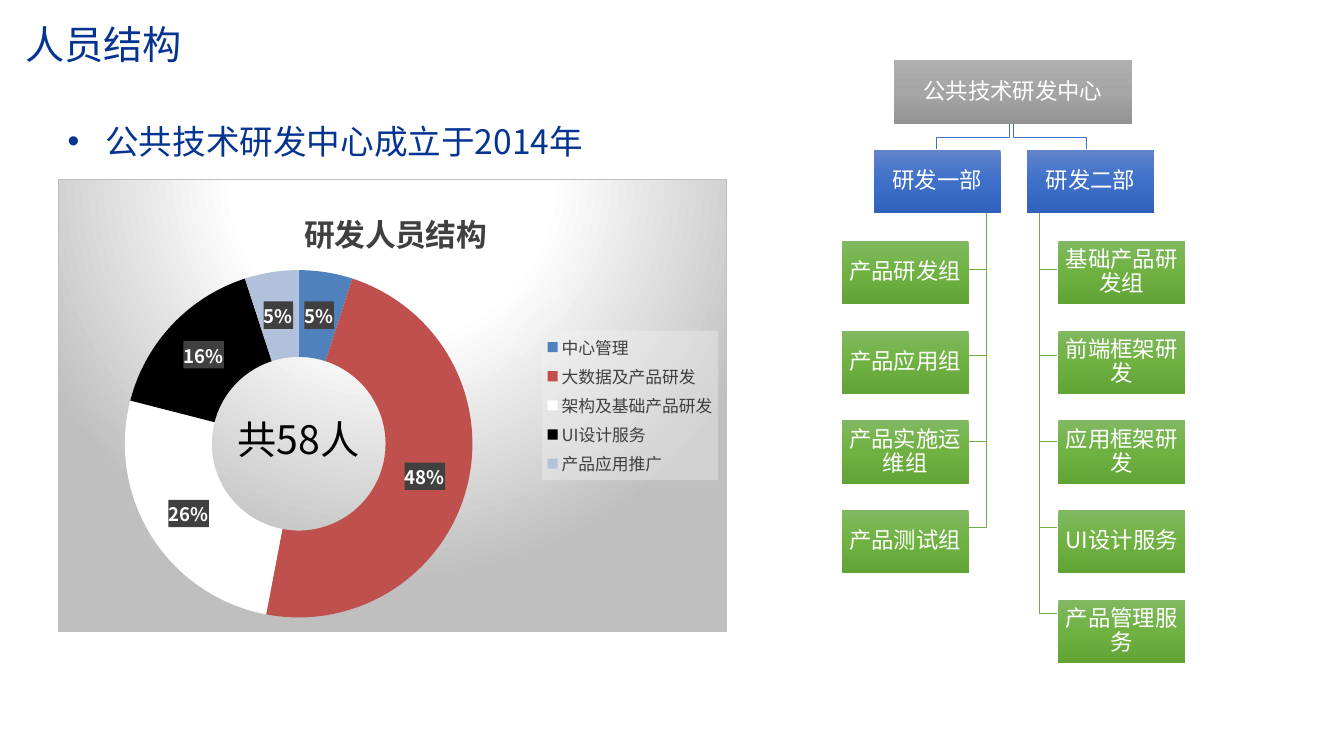
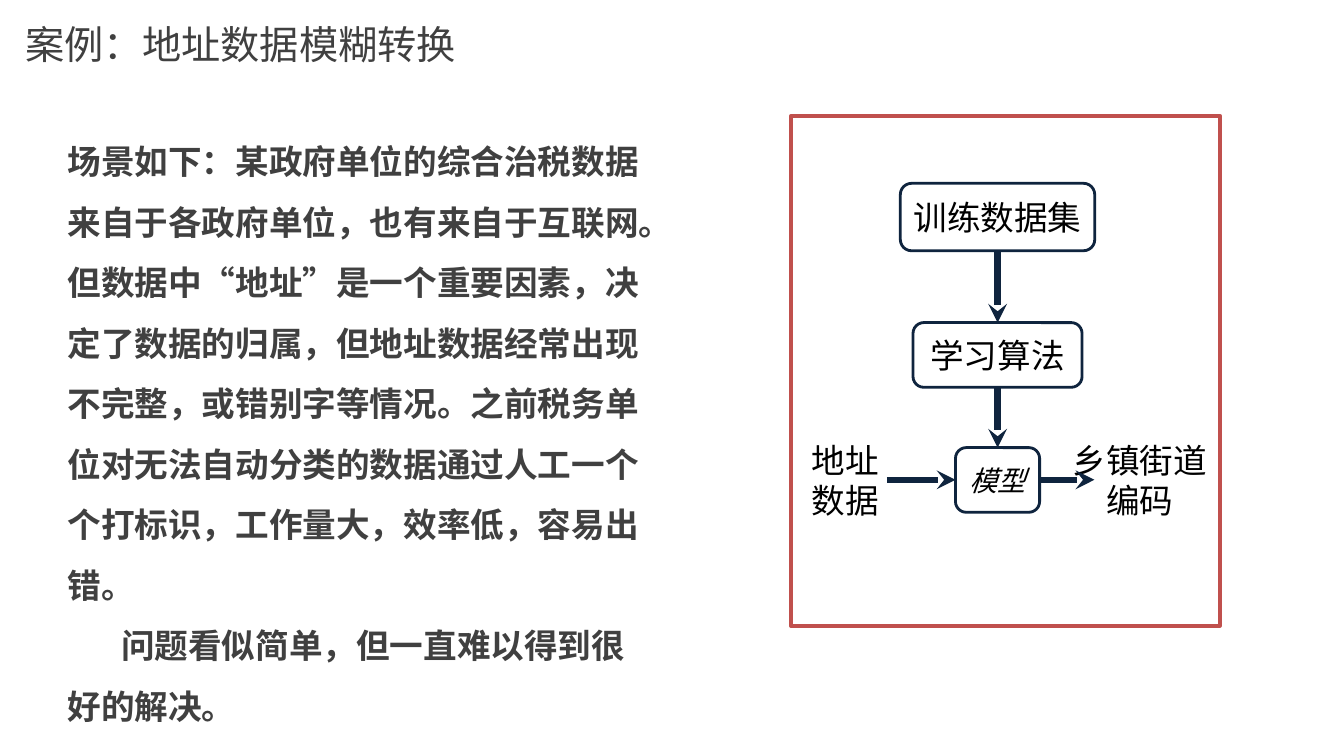
from dataclasses import dataclass

from lxml.etree import SubElement
from pptx import Presentation
from pptx.chart.data import CategoryChartData
from pptx.dml.color import RGBColor
from pptx.enum.chart import XL_CHART_TYPE as Chart, XL_LEGEND_POSITION as Legend
from pptx.enum.shapes import MSO_CONNECTOR as Conn, MSO_SHAPE as Shape
from pptx.enum.text import MSO_ANCHOR as Anchor, MSO_AUTO_SIZE as Fit, PP_ALIGN as Align
from pptx.oxml import parse_xml
from pptx.oxml.ns import nsdecls, qn
from pptx.util import Cm, Pt


@dataclass(frozen=True)
class Theme:
    face: str = "Noto Sans CJK SC"
    blue: str = "053391"
    gray: str = "404040"
    black: str = "000000"
    white: str = "FFFFFF"
    navy: str = "0F243E"
    red: str = "C0504D"
    border: str = "BFBFBF"
    panel: str = "F2F2F2"
    dept_line: str = "4472C4"
    team_line: str = "70AD47"
    root_fill: tuple = ((0, "AFAFAF"), (50, "A5A5A5"), (100, "939393"))
    dept_fill: tuple = ((0, "6183CB"), (50, "3E70CA"), (100, "3062BB"))
    team_fill: tuple = ((0, "81B861"), (50, "6FB242"), (100, "62A336"))
    chart_fill: tuple = ((0, "FFFFFF"), (39, "FFFFFF"), (100, "BFBFBF"))
    slices: tuple = ("4F81BD", "C0504D", "FFFFFF", "000000", "B2C1DB")
    title: float = 28
    body: float = 24
    chart_title: float = 22
    model: float = 20
    node: float = 16
    label: float = 13.3
    legend: float = 12


T = Theme()
DOWN = '<a:lin ang="5400000" scaled="0"/>'
SPOT = ('<a:path path="circle"><a:fillToRect l="50000" t="-80000" '
        'r="50000" b="180000"/></a:path>')


# Formatting helpers
def style(font, size=T.body, color=T.black, bold=False, italic=False):
    font.size, font.bold, font.italic = Pt(size), bold, italic
    font.color.rgb = RGBColor.from_string(color)
    font.name = T.face
    SubElement(font._rPr, qn("a:ea"), typeface=T.face)


def write(tf, text, align=Align.LEFT, anchor=Anchor.TOP, margin=None,
          spacing=None, **fmt):
    """Fill a text frame, one paragraph per line of text."""
    tf.word_wrap, tf.auto_size, tf.vertical_anchor = True, Fit.NONE, anchor
    if margin is not None:
        tf.margin_left = tf.margin_right = Cm(margin)
        tf.margin_top = tf.margin_bottom = Cm(margin)
    for i, line in enumerate(text.split("\n")):
        p = tf.add_paragraph() if i else tf.paragraphs[0]
        p.alignment, p.line_spacing = align, spacing
        p.space_before = Pt(0)
        r = p.add_run()
        r.text = line
        style(r.font, **fmt)
    return tf.paragraphs


def indent(p, left=0, first=0, bullet=None):
    pPr = p._p.get_or_add_pPr()
    pPr.set("marL", str(Cm(left)))
    pPr.set("indent", str(Cm(first)))
    if bullet:
        SubElement(pPr, qn("a:buChar"), char=bullet)
    else:
        SubElement(pPr, qn("a:buNone"))


def gradient(stops, direction):
    gs = "".join(f'<a:gs pos="{pos * 1000}"><a:srgbClr val="{c}"/></a:gs>'
                 for pos, c in stops)
    return (f'<a:gradFill {nsdecls("a")} rotWithShape="1">'
            f'<a:gsLst>{gs}</a:gsLst>{direction}</a:gradFill>')


def solid(color, alpha=100):
    return (f'<a:solidFill><a:srgbClr val="{color}">'
            f'<a:alpha val="{alpha * 1000}"/></a:srgbClr></a:solidFill>')


def backdrop(el, fill, line="<a:ln><a:noFill/></a:ln>"):
    """Give a chart part a fill and a line, ahead of its text properties."""
    el.find(qn("c:txPr")).addprevious(
        parse_xml(f'<c:spPr {nsdecls("c", "a")}>{fill}{line}</c:spPr>'))


def place(el, index, inner=False, **box):
    """Place a chart part at fractions of the chart area."""
    for old in el.findall(qn("c:layout")):
        el.remove(old)
    target = '<c:layoutTarget val="inner"/>' if inner else ""
    modes = "".join(f'<c:{k}Mode val="edge"/>' for k in "xy")
    sizes = "".join(f'<c:{k} val="{v}"/>' for k, v in box.items())
    el.insert(index, parse_xml(
        f'<c:layout {nsdecls("c")}><c:manualLayout>{target}{modes}{sizes}'
        '</c:manualLayout></c:layout>'))


class Deck:
    def __init__(self):
        self.prs = Presentation()
        self.prs.slide_width, self.prs.slide_height = Cm(33.87), Cm(19.05)

    def slide(self, title, color):
        self.s = self.prs.slides.add_slide(self.prs.slide_layouts[1])
        tf = self.holder(0, 0.38, 0.33, 26.54, 1.55)
        write(tf, title, anchor=Anchor.MIDDLE, size=T.title, color=color)

    def holder(self, idx, *box):
        sp = self.s.placeholders[idx]
        sp.left, sp.top, sp.width, sp.height = map(Cm, box)
        return sp.text_frame

    def body(self, box, text, **fmt):
        return write(self.holder(1, *box), text, **fmt)

    def text(self, box, text, **fmt):
        sp = self.s.shapes.add_textbox(*map(Cm, box))
        write(sp.text_frame, text, **fmt)

    def box(self, box, text="", kind=Shape.RECTANGLE, fill=None, stops=None,
            line=None, weight=2, **fmt):
        sp = self.s.shapes.add_shape(kind, *map(Cm, box))
        sp.shadow.inherit = False
        sp.fill.background()
        if fill:
            sp.fill.solid()
            sp.fill.fore_color.rgb = RGBColor.from_string(fill)
        if stops:
            spPr = sp._element.spPr
            spPr.replace(spPr.find(qn("a:noFill")),
                         parse_xml(gradient(stops, DOWN)))
        self.outline(sp, line, weight)
        if text:
            write(sp.text_frame, text, align=Align.CENTER,
                  anchor=Anchor.MIDDLE, margin=0.03, **fmt)

    def outline(self, sp, color, weight):
        if color:
            sp.line.color.rgb = RGBColor.from_string(color)
            sp.line.width = Pt(weight)
        else:
            sp.line.fill.background()

    def elbow(self, color, *points):
        (x, y), *rest = [(Cm(x), Cm(y)) for x, y in points]
        path = self.s.shapes.build_freeform(x, y)
        path.add_line_segments(rest, close=False)
        sp = path.convert_to_shape()
        sp.shadow.inherit = False
        sp.fill.background()
        self.outline(sp, color, 0.5)

    def arrow(self, x1, y1, x2, y2):
        c = self.s.shapes.add_connector(Conn.STRAIGHT, Cm(x1), Cm(y1), Cm(x2), Cm(y2))
        self.outline(c, T.navy, 4.5)
        SubElement(c.line._ln, qn("a:tailEnd"), type="stealth")
        SubElement(c._element.spPr, qn("a:effectLst"))

    def doughnut(self, box, title, data):
        cd = CategoryChartData(number_format="0")
        cd.categories = list(data)
        cd.add_series(title, data.values())
        chart = self.s.shapes.add_chart(Chart.DOUGHNUT, *map(Cm, box), cd).chart
        style(chart.font, size=10)
        border = f'<a:ln w="{Pt(0.75)}">{solid(T.border)}</a:ln>'
        backdrop(chart._chartSpace, gradient(T.chart_fill, SPOT), border)

        # Title and legend
        chart.has_title = True
        r = chart.chart_title.text_frame.paragraphs[0].add_run()
        r.text = title
        style(r.font, size=T.chart_title, color=T.gray, bold=True)
        place(chart.chart_title._element, 1, x=0.36, y=0.05)
        chart.has_legend = True
        chart.legend.position = Legend.RIGHT
        chart.legend.include_in_layout = False
        style(chart.legend.font, size=T.legend, color=T.gray)
        backdrop(chart.legend._element, solid(T.panel, 39))

        # Ring and percentages
        plot = chart.plots[0]
        plot.vary_by_categories = True
        place(chart._chartSpace.chart.plotArea, 0, inner=True,
              x=0.1, y=0.2, w=0.52, h=0.77)
        for i, color in enumerate(T.slices):
            fmt = plot.series[0].points[i].format
            fmt.fill.solid()
            fmt.fill.fore_color.rgb = RGBColor.from_string(color)
            fmt.line.fill.background()
        plot.has_data_labels = True
        labels = plot.data_labels
        labels.show_percentage, labels.show_value = True, False
        labels.number_format, labels.number_format_is_linked = "0%", False
        style(labels.font, size=T.label, color=T.white, bold=True)
        backdrop(labels._element, solid(T.gray))


def staff_slide(d):
    d.slide("人员结构", T.blue)
    p, = d.body((1.45, 2.92, 14.68, 1.4), "公共技术研发中心成立于2014年", color=T.blue)
    indent(p, left=0.95, first=-0.95, bullet="•")

    # Organisation chart: each department has a stem with its teams beside it
    w, h, dept_y = 3.2, 1.6, 3.78
    node = dict(size=T.node, color=T.white, spacing=0.9)
    depts = [
        ("研发一部", 22.02, 21.21, (25.45, 23.6), (24.87, 24.41),
         ("产品研发组", "产品应用组", "产品实施运维组", "产品测试组")),
        ("研发二部", 25.88, 26.67, (25.53, 27.38), (26.19, 26.65),
         ("基础产品研发组", "前端框架研发", "应用框架研发", "UI设计服务", "产品管理服务")),
    ]
    d.box((22.53, 1.52, 6, h), "公共技术研发中心", stops=T.root_fill, **node)
    for dept, dept_x, team_x, (root_x, drop_x), (stem_x, end_x), teams in depts:
        d.elbow(T.dept_line, (root_x, 3.12), (root_x, 3.45),
                (drop_x, 3.45), (drop_x, 3.76))
        d.box((dept_x, dept_y, w, h), dept, stops=T.dept_fill, **node)
        for i, team in enumerate(teams):
            y = 6.78 + 2.17 * i
            d.elbow(T.team_line, (stem_x, dept_y + h), (stem_x, y), (end_x, y))
            d.box((team_x, 6.07 + 2.26 * i, w, h), team, stops=T.team_fill, **node)

    # Staff shares
    d.doughnut((1.45, 4.5, 16.87, 11.43), "研发人员结构", {
        "中心管理": 5, "大数据及产品研发": 48, "架构及基础产品研发": 26,
        "UI设计服务": 16, "产品应用推广": 5})
    d.text((5.74, 10.34, 3.68, 1.45), "共58人", size=T.title)


def case_slide(d):
    d.slide("案例：地址数据模糊转换", T.gray)
    scene, problem = d.body(
        (1.45, 2.92, 15.06, 14.48),
        "场景如下：某政府单位的综合治税数据来自于各政府单位，也有来自于互联网。"
        "但数据中“地址”是一个重要因素，决定了数据的归属，但地址数据经常出现不完整，"
        "或错别字等情况。之前税务单位对无法自动分类的数据通过人工一个个打标识，"
        "工作量大，效率低，容易出错。\n"
        "问题看似简单，但一直难以得到很好的解决。",
        spacing=1.5, color=T.gray, bold=True)
    indent(scene)
    indent(problem, first=1.35)

    # Learning flow, centred on one axis
    d.box((19.94, 2.92, 10.8, 12.85), fill=T.white, line=T.red, weight=3)
    axis, flow_y = 25.14, 12.09
    for text, y, w, h, fmt in (
            ("训练数据集", 4.62, 4.9, 1.7, {}),
            ("学习算法", 8.13, 4.26, 1.63, {}),
            ("模型", 11.28, 2.12, 1.63, dict(size=T.model, italic=True))):
        d.box((axis - w / 2, y, w, h), text, kind=Shape.ROUNDED_RECTANGLE,
              line=T.navy, **fmt)
    for text, x, w in (("地址数据", 19.94, 2.74), ("乡镇街道编码", 26.72, 4.01)):
        d.text((x, 10.95, w, 2.31), text, align=Align.CENTER)
    for y1, y2 in ((6.31, 8.13), (9.76, 11.28)):
        d.arrow(axis, y1, axis, y2)
    for x1, x2 in ((22.35, 24.08), (26.2, 27.58)):
        d.arrow(x1, flow_y, x2, flow_y)


def main():
    d = Deck()
    staff_slide(d)
    case_slide(d)
    d.prs.save("out.pptx")


if __name__ == "__main__":
    main()
